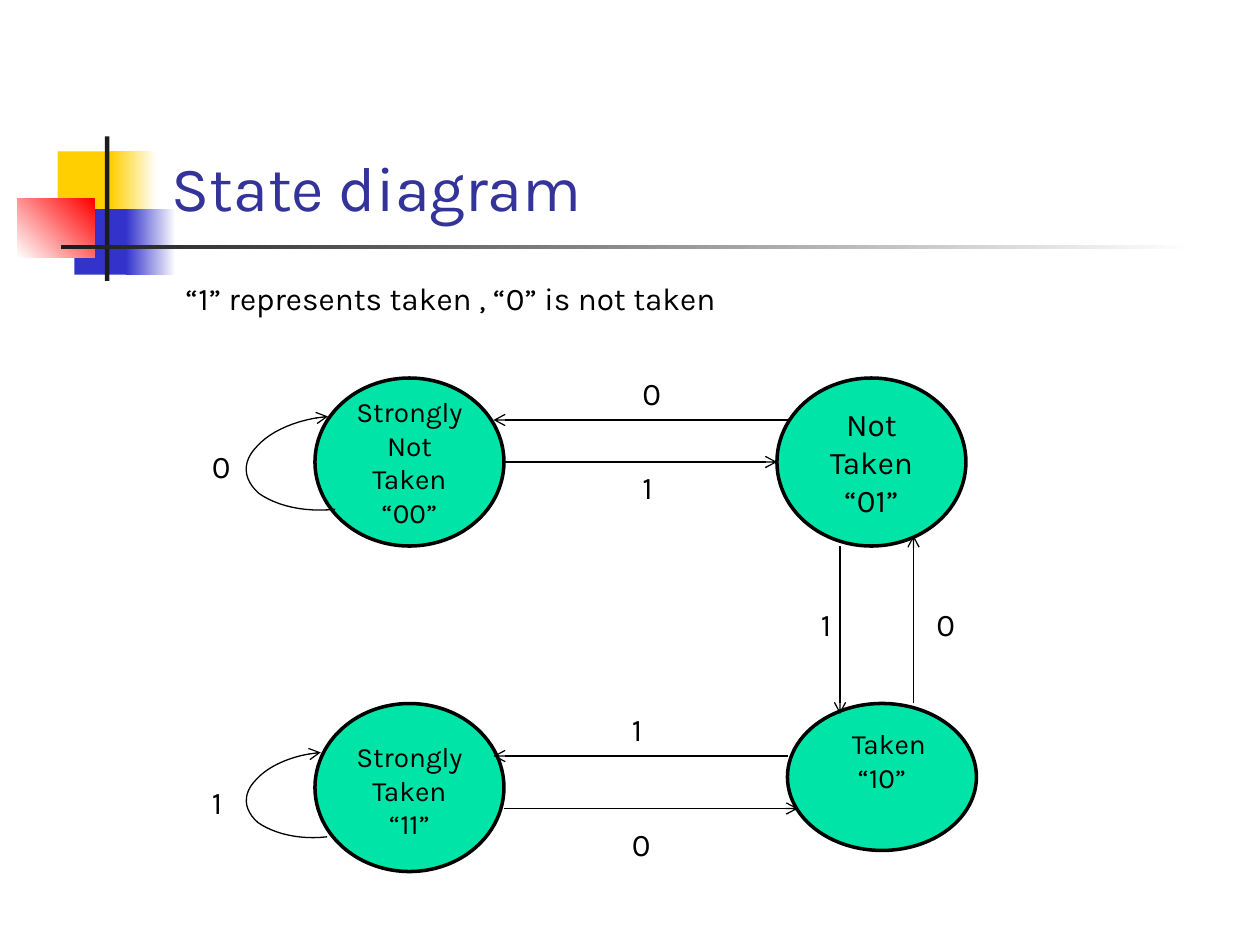
from collections import namedtuple
from lxml import etree
from pptx import Presentation
from pptx.dml.color import RGBColor
from pptx.enum.shapes import MSO_CONNECTOR, MSO_SHAPE
from pptx.enum.text import MSO_ANCHOR, PP_ALIGN
from pptx.oxml.ns import qn
from pptx.util import Pt

RECT, OVAL = MSO_SHAPE.RECTANGLE, MSO_SHAPE.OVAL
STRAIGHT = MSO_CONNECTOR.STRAIGHT
MIDDLE, BOTTOM = MSO_ANCHOR.MIDDLE, MSO_ANCHOR.BOTTOM
LEFT, CENTER = PP_ALIGN.LEFT, PP_ALIGN.CENTER

Theme = namedtuple("Theme", "font title_size body_size state_size title ink state "
                            "yellow blue red bar white")
T = Theme("Karla", 36, 18, 16, *map(RGBColor.from_string, (
    "333399", "000000", "00E4A8", "FFCF01", "3333CC", "FF0000", "1C1C1C", "FFFFFF")))


def write(sp, text, size, color, align=LEFT):
    tf = sp.text_frame
    tf.text = text
    tf.word_wrap = True
    for p in tf.paragraphs:
        p.alignment = align
        for r in p.runs:
            r.font.name, r.font.size, r.font.color.rgb = T.font, Pt(size), color
    return tf


def style_arrow(sp):
    sp.line.color.rgb = T.ink
    sp.line.width = Pt(0.75)
    etree.SubElement(sp.line._get_or_add_ln(), qn("a:tailEnd"), type="arrow")


prs = Presentation()
prs.slide_width, prs.slide_height = Pt(720), Pt(540)
s = prs.slides.add_slide(prs.slide_layouts[6])

ornaments = [
    (33, 86.5, 34.5, 37.5, T.yellow, None, 0),
    (63.5, 86.5, 26, 37.5, T.yellow, T.white, 0),
    (42.5, 119.5, 33, 37.5, T.blue, None, 0),
    (72, 119.5, 28.5, 37.5, T.blue, T.white, 0),
    (10, 113.5, 44, 33.5, T.white, T.red, 45),
    (60, 78, 2.5, 82.5, T.bar, None, 0),
    (35, 140, 648, 2.5, T.bar, T.white, 0),
]
for x, y, w, h, start, end, angle in ornaments:
    sp = s.shapes.add_shape(RECT, Pt(x), Pt(y), Pt(w), Pt(h))
    sp.shadow.inherit = False
    sp.line.fill.background()
    if end is None:
        sp.fill.solid()
        sp.fill.fore_color.rgb = start
    else:
        sp.fill.gradient()
        sp.fill.gradient_angle = angle
        for stop, color in zip(sp.fill.gradient_stops, (start, end)):
            stop.color.rgb = color

title = s.shapes.add_textbox(Pt(91), Pt(16.5), Pt(613), Pt(115))
write(title, "State diagram", T.title_size, T.title).vertical_anchor = BOTTOM

states = [
    (180, 216, 96, "Strongly Not Taken\n“00”", T.state_size, 0, 0),
    (444, 216, 96, "Not\nTaken\n“01”", T.body_size, 0, 0),
    (450, 402, 84, "Taken\n“10”", T.state_size, 0, 19),
    (180, 402, 96, "Strongly\nTaken\n“11”", T.state_size, 3, 0),
]
for x, y, h, text, size, pad_top, pad_bottom in states:
    sp = s.shapes.add_shape(OVAL, Pt(x), Pt(y), Pt(108), Pt(h))
    sp.shadow.inherit = False
    sp.fill.solid()
    sp.fill.fore_color.rgb = T.state
    sp.line.color.rgb = T.ink
    sp.line.width = Pt(2)
    tf = write(sp, text, size, T.ink, CENTER)
    tf.vertical_anchor = MIDDLE
    tf.margin_top, tf.margin_bottom = Pt(3.6 + pad_top), Pt(3.6 + pad_bottom)
    if text.startswith("Taken"):
        tf.paragraphs[0]._p.get_or_add_pPr().set("marL", str(Pt(8)))

arrows = [
    (288, 264, 444, 264), (450, 240, 282, 240),
    (480, 312, 480, 408), (522, 402, 522, 306),
    (450, 432, 282, 432), (288, 462, 456, 462),
]
for x1, y1, x2, y2 in arrows:
    cn = s.shapes.add_connector(STRAIGHT, Pt(x1), Pt(y1), Pt(x2), Pt(y2))
    style_arrow(cn)
    etree.SubElement(cn._element.spPr, qn("a:effectLst"))

loop_curve = [(50.5, 53), (33, 55), (17, 51), (7, 44), (-2, 36),
              (-3, 26), (6, 17), (14, 8), (29.5, 1.5), (46.5, 0)]
steps = 12
for left, top, scale in ((141, 238, 1), (141, 430, 0.91)):
    points = [loop_curve[0]]
    for i in range(0, len(loop_curve) - 1, 3):
        for k in range(1, steps + 1):
            t = k / steps
            weights = ((1 - t) ** 3, 3 * t * (1 - t) ** 2, 3 * t * t * (1 - t), t ** 3)
            points.append(tuple(sum(c * v for c, v in zip(weights, axis))
                                for axis in zip(*loop_curve[i:i + 4])))
    points = [(Pt(left + x * scale), Pt(top + y * scale)) for x, y in points]
    fb = s.shapes.build_freeform(*points[0])
    fb.add_line_segments(points[1:], close=False)
    sp = fb.convert_to_shape()
    sp.shadow.inherit = False
    sp.fill.background()
    style_arrow(sp)

labels = [
    (99, 156, 326, "“1” represents taken , “0” is not taken"),
    (114, 252, 24.5, "0"), (360, 210, 24.5, "0"), (360, 264, 24.5, "1"),
    (354, 402, 24.5, "1"), (354, 468, 24.5, "0"), (114, 444, 24.5, "1"),
    (462, 342, 24.5, "1"), (528, 342, 24.5, "0"),
]
for x, y, w, text in labels:
    tb = s.shapes.add_textbox(Pt(x), Pt(y), Pt(w), Pt(29))
    write(tb, text, T.body_size, T.ink)

prs.save("out.pptx")
